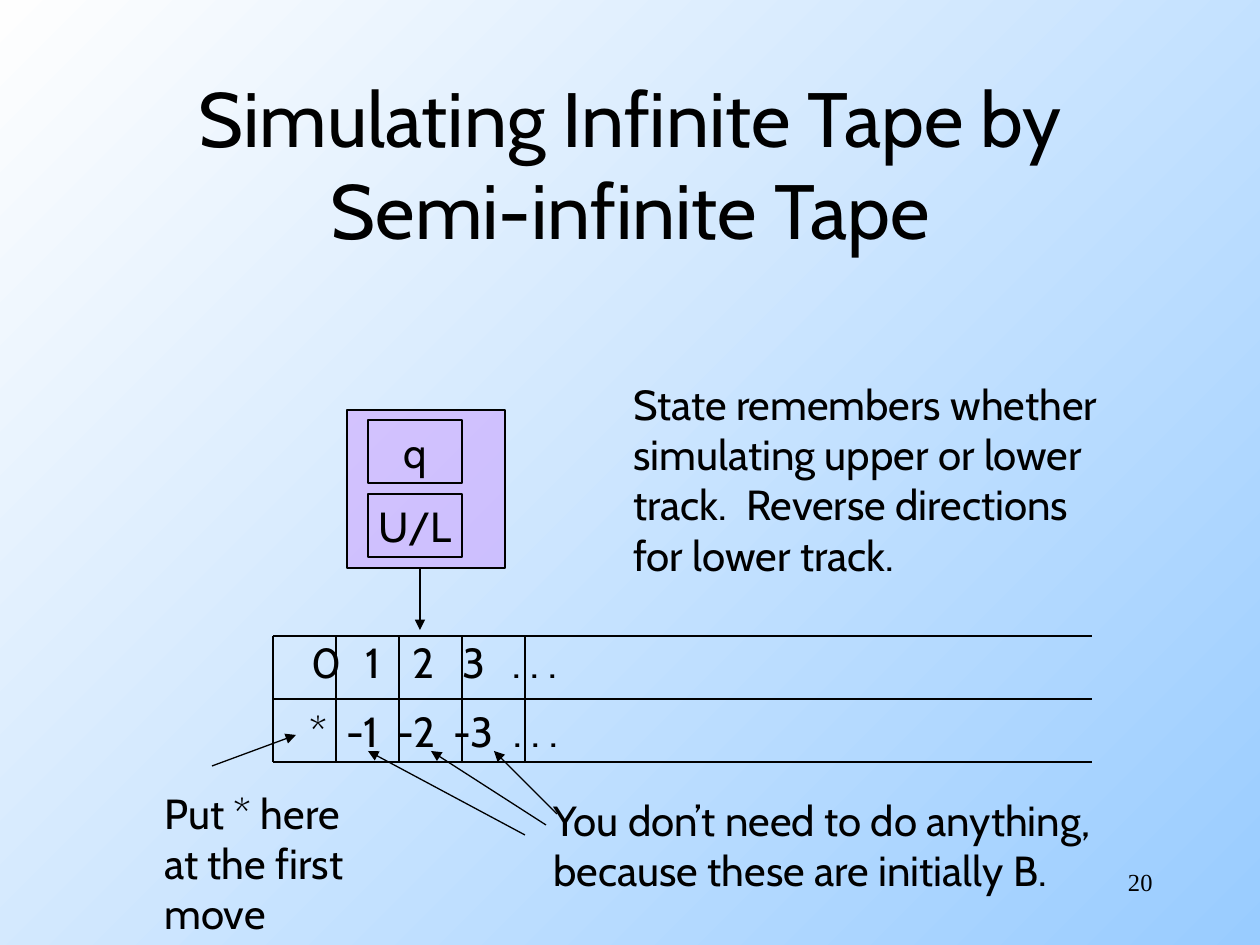
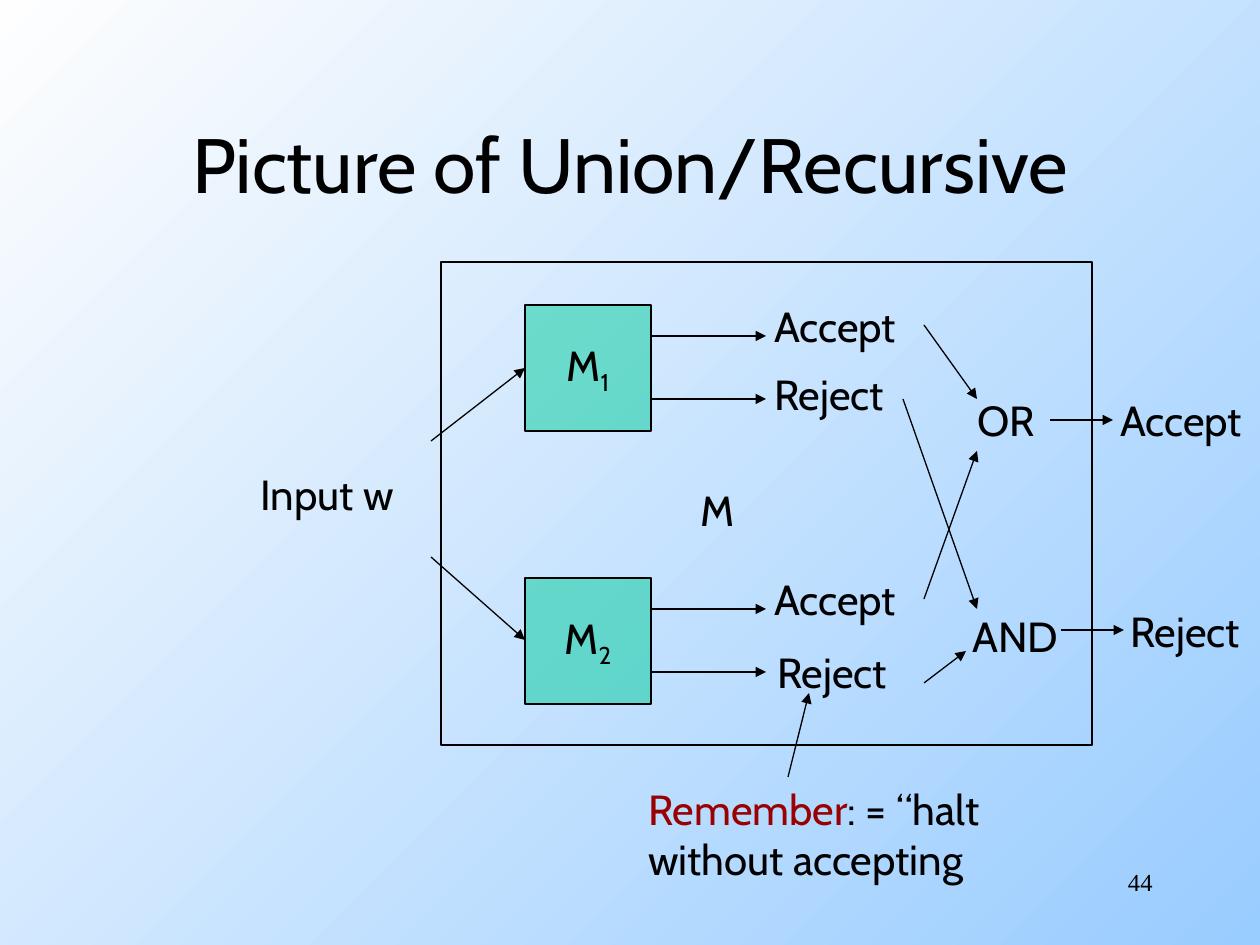
from dataclasses import dataclass

from lxml.etree import SubElement
from pptx import Presentation
from pptx.dml.color import RGBColor
from pptx.enum.shapes import MSO_CONNECTOR, MSO_SHAPE
from pptx.enum.text import MSO_ANCHOR, MSO_AUTO_SIZE, PP_ALIGN
from pptx.oxml.ns import qn
from pptx.util import Emu, Pt

RECT = MSO_SHAPE.RECTANGLE
STRAIGHT = MSO_CONNECTOR.STRAIGHT
LEFT, MID, RIGHT = PP_ALIGN.LEFT, PP_ALIGN.CENTER, PP_ALIGN.RIGHT
TOP, MIDDLE = MSO_ANCHOR.TOP, MSO_ANCHOR.MIDDLE
NO_FIT = MSO_AUTO_SIZE.NONE
PX = 914400 / 126


@dataclass(frozen=True)
class Theme:
    ink: str = "000000"
    red: str = "990000"
    lilac: str = "CC99FF"
    green: str = "00CC99"
    sky: str = "99CCFF"
    white: str = "FEFEFE"
    font: str = "Cabin"
    serif: str = "Times New Roman"
    head: int = 44
    body: int = 24
    small: int = 14
    rule: float = 0.75


T = Theme()


def put(slide, text, at, holder=None, boxed=False, fill=None, lead="", sub="",
        size=T.body, font=T.font, align=LEFT, anchor=TOP, tabs=()):
    """Place text in a holder, a ruled box or a plain text box.

    lead is a red run before the text, sub a subscript run after it."""
    area = [Emu(round(n * PX)) for n in at]
    if holder is not None:
        holder.left, holder.top, holder.width, holder.height = area
    elif boxed:
        holder = slide.shapes.add_shape(RECT, *area)
        holder.shadow.inherit = False
        holder.line.color.rgb = RGBColor.from_string(T.ink)
        holder.line.width = Pt(T.rule)
        if fill:
            holder.fill.solid()
            holder.fill.fore_color.rgb = RGBColor.from_string(fill)
            tint = holder._element.spPr.find(qn("a:solidFill"))[0]
            SubElement(tint, qn("a:alpha")).set("val", "50000")
        else:
            holder.fill.background()
        align, anchor = MID, MIDDLE
    else:
        holder = slide.shapes.add_textbox(*area)
    if not (text or lead):
        return
    frame = holder.text_frame
    frame.auto_size = NO_FIT
    frame.word_wrap = not boxed
    frame.vertical_anchor = anchor
    for i, row in enumerate(text.split("\n")):
        para = frame.add_paragraph() if i else frame.paragraphs[0]
        para.alignment = align
        if tabs:
            stops = SubElement(para._p.get_or_add_pPr(), qn("a:tabLst"))
            for stop in tabs:
                tab = SubElement(stops, qn("a:tab"))
                tab.set("pos", str(round(stop * PX)))
                tab.set("algn", "l")
        parts = [(row, T.ink, False)]
        if i == 0:
            parts = [(lead, T.red, False), *parts, (sub, T.ink, True)]
        for word, color, low in parts:
            if not word:
                continue
            run = para.add_run()
            run.text = word
            run.font.size, run.font.name = Pt(size), font
            run.font.color.rgb = RGBColor.from_string(color)
            if low:
                run._r.get_or_add_rPr().set("baseline", "-25000")


def link(slide, x1, y1, x2, y2, arrow=True):
    """Draw a straight line, with an arrowhead at its end if wanted."""
    ends = [Emu(round(n * PX)) for n in (x1, y1, x2, y2)]
    line = slide.shapes.add_connector(STRAIGHT, *ends)
    line.line.color.rgb = RGBColor.from_string(T.ink)
    line.line.width = Pt(T.rule)
    if arrow:
        tip = SubElement(line.line._get_or_add_ln(), qn("a:tailEnd"))
        tip.set("type", "triangle")
    SubElement(line._element.spPr, qn("a:effectLst"))


deck = Presentation()
deck.slide_width, deck.slide_height = Emu(round(1260 * PX)), Emu(round(945 * PX))

# Shared background, titles and page numbers
back = deck.slide_master.background.fill
back.gradient()
back.gradient_angle = 135
for stop, color, place in zip(back.gradient_stops, (T.sky, T.white), (0, 1)):
    stop.color.rgb = RGBColor.from_string(color)
    stop.position = place

pages = []
for title, number in (("Simulating Infinite Tape by Semi-infinite Tape", "20"),
                      ("Picture of Union/Recursive", "44")):
    page = deck.slides.add_slide(deck.slide_layouts[5])
    put(page, title, (95, 84, 1071, 158), holder=page.shapes.title,
        size=T.head, align=MID, anchor=MIDDLE)
    put(page, number, (903, 861, 262, 63), size=T.small, font=T.serif, align=RIGHT)
    pages.append(page)
tape, union = pages

# Two-track tape
x0, y0, cell = 273, 636, 63
for row in range(3):
    link(tape, x0, y0 + row * cell, 1092, y0 + row * cell, arrow=False)
for col in range(5):
    link(tape, x0 + col * cell, y0, x0 + col * cell, y0 + 2 * cell, arrow=False)
put(tape, "0\t1\t2\t3\t. . .", (299, 630, 308, 63), tabs=(54, 101, 151, 201))
put(tape, "*\t-1\t-2\t-3\t. . .", (297, 699, 308, 63), tabs=(37, 87, 144, 204))

# Control unit with its state
put(tape, "", (347, 410, 158, 158), boxed=True, fill=T.lilac)
for i, state in enumerate(("q", "U/L")):
    put(tape, state, (368, 420 + i * 74, 94, 63), boxed=True)
link(tape, 420, 567, 420, 630)

# Remarks on the tape
for text, at in (
    ("State remembers whether\nsimulating upper or lower\n"
     "track.  Reverse directions\nfor lower track.", (621, 372, 543, 214)),
    ("Put * here\nat the first\nmove", (152, 781, 228, 164)),
    ("You don’t need to do anything,\nbecause these are initially B.",
     (541, 788, 631, 113)),
):
    put(tape, text, at)
link(tape, 212, 766, 296, 735)
for i, (x, y) in enumerate(((525, 835), (546, 825), (557, 814))):
    link(tape, x, y, 368 + i * cell, 751)

# Machine M with its two parts
put(union, "", (441, 262, 651, 483), boxed=True)
for sub, top in (("1", 305), ("2", 578)):
    put(union, "M", (525, top, 126, 126), boxed=True, fill=T.green, sub=sub)
    for drop in (31, 94):
        link(union, 651, top + drop, 766, top + drop)

# Inputs, verdicts and gates
for text, x, y, width in (
    ("Input w", 248, 462, 176),
    ("M", 688, 478, 63),
    ("Accept", 762, 294, 156),
    ("Reject", 762, 362, 145),
    ("Accept", 762, 567, 156),
    ("Reject", 765, 640, 145),
    ("OR", 965, 388, 84),
    ("AND", 960, 604, 115),
    ("Accept", 1108, 388, 152),
    ("Reject", 1118, 599, 142),
):
    put(union, text, (x, y, width, 63))

for ends in (
    (431, 441, 525, 368), (431, 557, 525, 640),
    (924, 325, 977, 399), (924, 599, 977, 451),
    (903, 399, 977, 609), (924, 683, 966, 651),
    (1050, 420, 1113, 420), (1061, 630, 1124, 630),
    (788, 777, 809, 693),
):
    link(union, *ends)

put(union, ": = “halt\nwithout accepting", (636, 777, 392, 113), lead="Remember")

deck.save("out.pptx")
